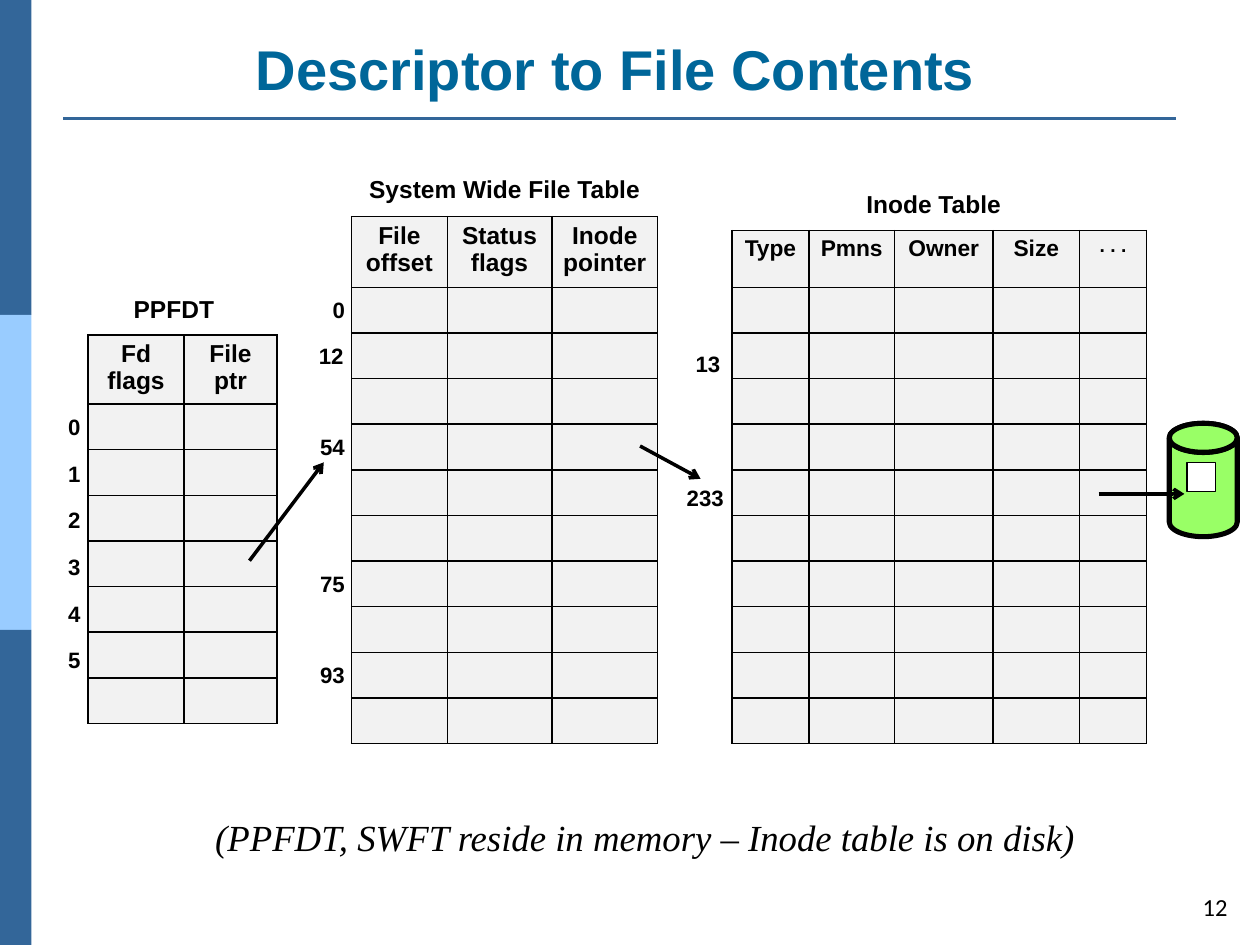
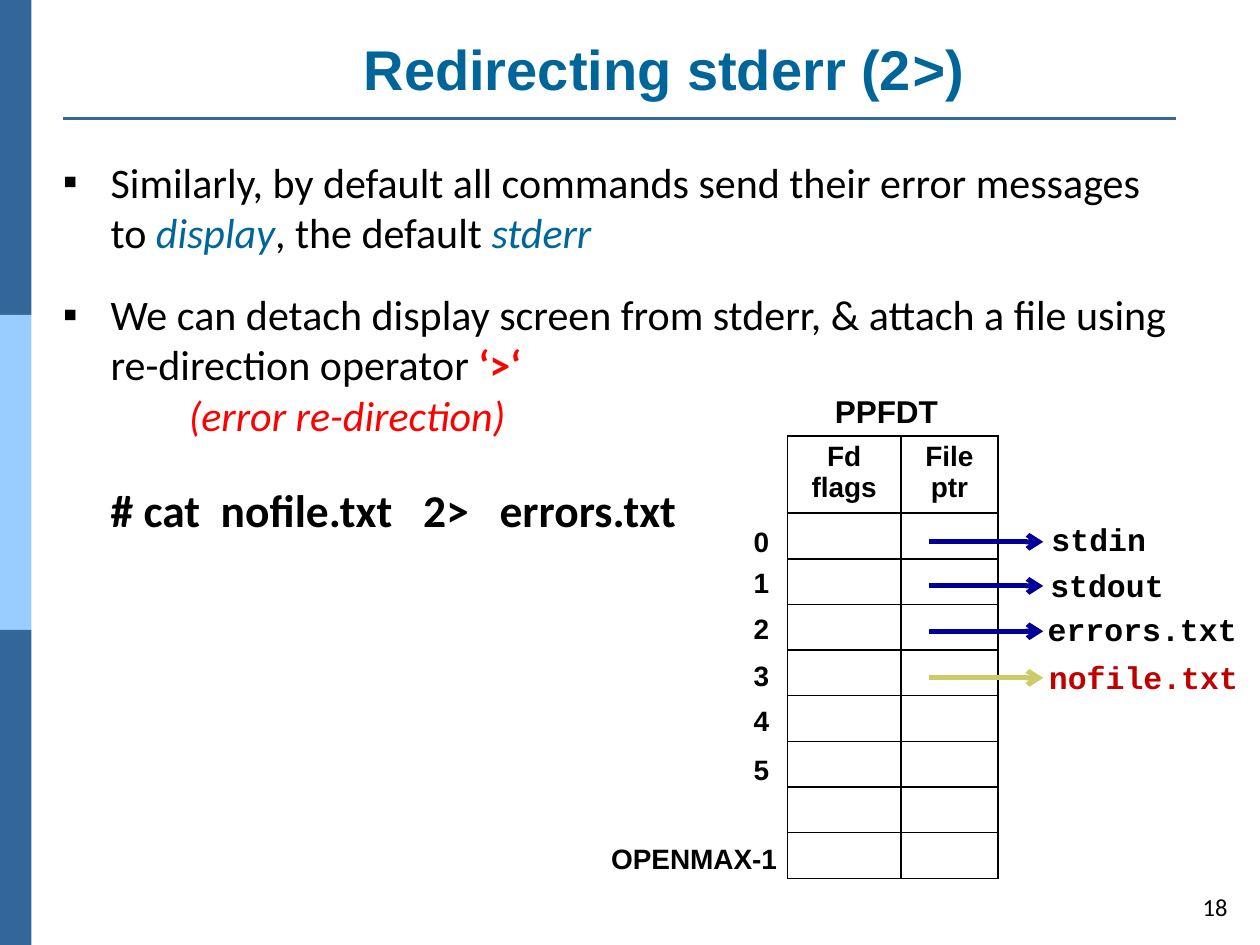
from lxml.etree import SubElement as Sub
from pptx import Presentation
from pptx.dml.color import RGBColor as Rgb
from pptx.enum.shapes import MSO_CONNECTOR as Conn, MSO_SHAPE as Form
from pptx.enum.text import MSO_ANCHOR as Anchor, PP_ALIGN as Align
from pptx.oxml.ns import qn
from pptx.util import Inches, Pt

HUE = {
    "band": "336699", "sky": "99CCFF", "title": "006699", "ink": "000000",
    "cell": "F2F2F2", "disk": "99FF66", "white": "FFFFFF", "navy": "000099",
    "olive": "CCCC66", "red": "FF0000", "dark": "C00000",
}
MID = Align.CENTER
ROW = 0.3625


def write(para, text, size, face="Arial", hue="ink", bold=False, slant=False):
    run = para.add_run()
    run.text = text
    font = run.font
    font.size, font.name, font.bold, font.italic = Pt(size), face, bold, slant
    font.color.rgb = Rgb.from_string(HUE[hue])


def place(page, box, align=Align.LEFT, wrap=False, pad=(0.09, 0.04), anchor=Anchor.TOP):
    frame = page.shapes.add_textbox(*map(Inches, box)).text_frame
    frame.word_wrap = wrap
    frame.vertical_anchor = anchor
    frame.margin_left = frame.margin_right = Inches(pad[0])
    frame.margin_top = frame.margin_bottom = Inches(pad[1])
    frame.paragraphs[0].alignment = align
    return frame.paragraphs[0]


deck = Presentation()
deck.slide_width, deck.slide_height = Inches(10), Inches(7.5)
files, errs = [deck.slides.add_slide(deck.slide_layouts[6]) for _ in range(2)]

# shapes: page, form, box, fill, line width
shapes = [
    (page, Form.RECTANGLE, (0, 2.5 * i, 0.25, 2.5), hue, None)
    for page in (files, errs)
    for i, hue in enumerate(("band", "sky", "band"))
]
shapes += [
    (files, Form.CAN, (9.28, 3.36, 0.54, 0.9), "disk", 2.89),
    (files, Form.OVAL, (9.28, 3.36, 0.54, 0.23), "disk", 2.89),
    (files, Form.RECTANGLE, (9.42, 3.67, 0.23, 0.23), "white", 0),
]
for page, form, box, hue, width in shapes:
    shape = page.shapes.add_shape(form, *map(Inches, box))
    shape.shadow.inherit = False
    shape.fill.solid()
    shape.fill.fore_color.rgb = Rgb.from_string(HUE[hue])
    if form == Form.CAN:
        shape.adjustments[0] = 0.43
    if width is None:
        shape.line.fill.background()
    else:
        shape.line.color.rgb = Rgb.from_string(HUE["ink"])
        shape.line.width = Pt(width)

heads = [
    (files, (0.5, 0.18, 8.77, 0.68), "12",
     [("Descriptor to File Contents", "Arial")]),
    (errs, (1.15, 0.18, 8.24, 0.68), "18",
     [("Redirecting stderr (2", "Arial"), (">", "Courier New"), (")", "Arial")]),
]
for page, box, num, runs in heads:
    para = place(page, box, MID, True, (0.1, 0.05), Anchor.BOTTOM)
    for text, face in runs:
        write(para, text, 32, face, "title", True)
    para = place(page, (9.39, 6.99, 0.45, 0.41), Align.RIGHT, True, (0.1, 0.05), Anchor.MIDDLE)
    write(para, num, 14, "Calibri")

grids = [
    (files, "PPFDT", 14, (0.97, 2.29, 0.82, 0.32), (0.7, 2.66), 0.53, 7, "cell", 14,
     [("Fd flags", 0.76), ("File ptr", 0.74)]),
    (files, "System Wide File Table", 14, (2.83, 1.34, 2.35, 0.32), (2.79, 1.72), 0.56, 10,
     "cell", 14, [("File offset", 0.76), ("Status flags", 0.83), ("Inode pointer", 0.84)]),
    (files, "Inode Table", 14, (6.78, 1.46, 1.26, 0.32), (5.81, 1.83), 0.45, 10, "cell", 13,
     [("Type", 0.61), ("Pmns", 0.68), ("Owner", 0.78), ("Size", 0.69), (". . .", 0.53)]),
    (errs, "PPFDT", 18, (6.53, 3.07, 1.01, 0.38), (6.25, 3.46), 0.59, 8, None, 16,
     [("Fd flags", 0.9), ("File ptr", 0.77)]),
]
for page, name, big, box, (left, top), head, count, fill, size, cols in grids:
    write(place(page, box, MID), name, big, bold=True)
    wide = sum(width for _, width in cols)
    table = page.shapes.add_table(
        count + 1, len(cols), Inches(left), Inches(top),
        Inches(wide), Inches(head + count * ROW)).table
    table.first_row = table.horz_banding = False
    for r, row in enumerate(table.rows):
        row.height = Inches(ROW if r else head)
        for c, (label, width) in enumerate(cols):
            table.columns[c].width = Inches(width)
            cell = table.cell(r, c)
            cell.margin_left = cell.margin_right = Inches(0.08)
            cell.margin_top = cell.margin_bottom = Inches(0.04)
            para = cell.text_frame.paragraphs[0]
            if r:
                Sub(para._p, qn("a:endParaRPr"), sz="1200")
            else:
                para.alignment = MID
                write(para, label, 11 if label == ". . ." else size, bold=True)
            prop = cell._tc.get_or_add_tcPr()
            for side in ("lnL", "lnR", "lnT", "lnB"):
                edge = Sub(prop, qn("a:" + side), w="12700")
                Sub(Sub(edge, qn("a:solidFill")), qn("a:srgbClr"), val=HUE["ink"])
            if fill:
                cell.fill.solid()
                cell.fill.fore_color.rgb = Rgb.from_string(HUE[fill])
            else:
                cell.fill.background()

marks = [(files, str(i), 0.45, 3.24 + 0.37 * i, 12.7) for i in range(6)]
marks += [
    (files, text, left, 2.31 + ROW * r, 12.7)
    for text, left, r in (
        ("0", 2.55, 0), ("12", 2.44, 1), ("54", 2.45, 3), ("75", 2.45, 6), ("93", 2.45, 8))
]
marks += [(files, "13", 5.43, 2.74, 12.7), (files, "233", 5.36, 3.8, 12.7)]
marks += [
    (errs, str(i), 5.89, top, 16)
    for i, top in enumerate((4.12, 4.45, 4.81, 5.19, 5.54, 5.93))
]
marks += [(errs, "OPENMAX-1", 4.76, 6.64, 16)]
for page, text, left, top, size in marks:
    width = 0.18 + len(text) * (0.1 if size < 16 else 0.13)
    if len(text) > 3:
        width = 1.51
    write(place(page, (left, top, width, 0.29 if size < 16 else 0.35)), text, size, bold=True)

links = [(page, (0.5, 0.94, 9.33, 0.94), "band", 1.5, False) for page in (files, errs)]
links += [
    (files, ends, "ink", 0, True)
    for ends in ((1.98, 4.45, 2.57, 3.67), (5.08, 3.54, 5.56, 3.8), (8.72, 3.92, 9.4, 3.92))
]
goals = [
    ("stdin", 8.25, 4.09, 0.94, 4.3, "navy", "ink"),
    ("stdout", 8.24, 4.45, 1.09, 4.65, "navy", "ink"),
    ("errors.txt", 8.22, 4.8, 1.69, 5.01, "navy", "ink"),
    ("nofile.txt", 8.23, 5.18, 1.69, 5.38, "olive", "dark"),
]
for text, left, top, width, mid, hue, tint in goals:
    write(place(errs, (left, top, width, 0.38), MID), text, 18, "Courier New", tint, True)
    links.append((errs, (7.37, mid, 8.28, mid), hue, 2.89, True))
for page, ends, hue, width, tip in links:
    link = page.shapes.add_connector(Conn.STRAIGHT, *map(Inches, ends))
    link.line.color.rgb = Rgb.from_string(HUE[hue])
    link.line.width = Pt(width)
    if tip:
        Sub(link.line._get_or_add_ln(), qn("a:tailEnd"), type="arrow")
    Sub(link._element.spPr, qn("a:effectLst"))

para = place(files, (1.61, 6.42, 7.09, 0.45), wrap=True, pad=(0.1, 0.05))
write(para, "(PPFDT, SWFT reside in memory – Inode table is on disk)", 21,
      "Times New Roman", slant=True)

points = [
    (0, True, 24, [
        ("Similarly, by default all commands send their error messages", "ink", False, False),
        None,
        ("to ", "ink", False, False),
        ("display", "title", False, True),
        (", the default ", "ink", False, False),
        ("stderr", "title", False, True)]),
    (18, True, 24, [
        ("We can detach display screen from stderr, & attach a file using "
         "re-direction operator ", "ink", False, False),
        ("‘>‘", "red", True, False),
        None,
        ("\t", "red", True, False),
        ("(error re-direction)", "red", False, True)]),
    (24, False, 26, [("# cat  nofile.txt   2>   errors.txt", "ink", True, False)]),
]
first = place(errs, (0.4, 1.19, 9.17, 3.15), wrap=True, pad=(0.1, 0.05))
body = errs.shapes[-1].text_frame
for i, (gap, dot, size, runs) in enumerate(points):
    para = body.add_paragraph() if i else first
    prop = para._p.get_or_add_pPr()
    prop.set("marL", str(Inches(0.38)))
    prop.set("indent", str(Inches(-0.38 if dot else 0)))
    if gap:
        para.space_before = Pt(gap)
    if dot:
        Sub(prop, qn("a:buFont"), typeface="Arial")
        Sub(prop, qn("a:buChar"), char="▪")
        Sub(Sub(prop, qn("a:tabLst")), qn("a:tab"), pos=str(Inches(1)), algn="l")
    for run in runs:
        if run is None:
            para.add_line_break()
        else:
            text, hue, bold, slant = run
            write(para, text, size, "Calibri", hue, bold, slant)

deck.save("out.pptx")
